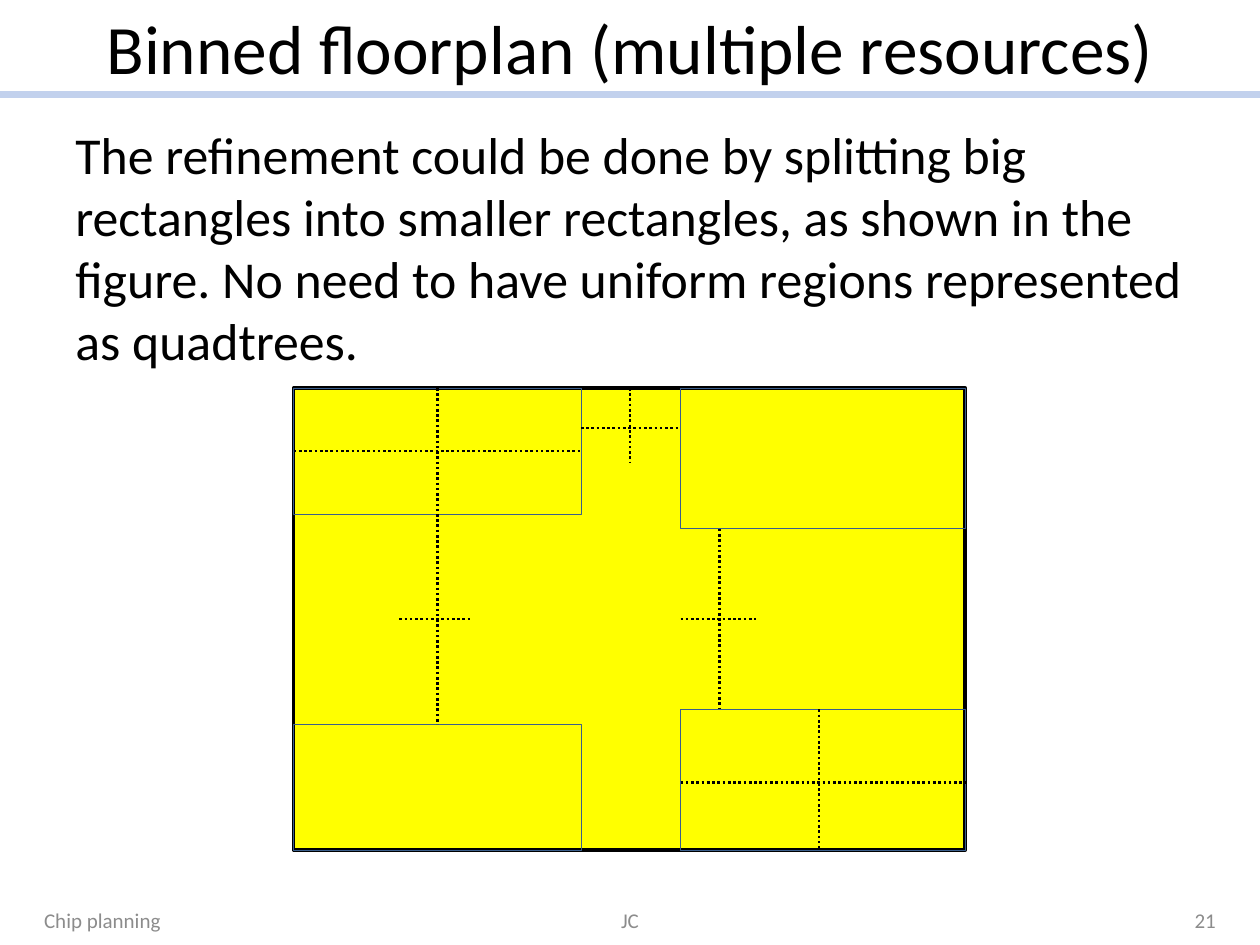
from lxml import etree
from pptx import Presentation
from pptx.dml.color import RGBColor
from pptx.enum.dml import MSO_LINE
from pptx.enum.shapes import MSO_CONNECTOR, MSO_SHAPE
from pptx.enum.text import MSO_ANCHOR, PP_ALIGN
from pptx.oxml.ns import qn
from pptx.util import Cm, Pt

BLACK = RGBColor(0x00, 0x00, 0x00)
GRAY = RGBColor(0x8C, 0x8C, 0x8C)
YELLOW = RGBColor(0xFF, 0xFF, 0x00)
REGION_BLUE = RGBColor(0x3A, 0x5F, 0x8C)
RULE_BLUE = RGBColor(0xC2, 0xD1, 0xED)

FONT = "Calibri"
DOTTED = MSO_LINE.ROUND_DOT  # written as sysDot
STRAIGHT = MSO_CONNECTOR.STRAIGHT
RECTANGLE = MSO_SHAPE.RECTANGLE
LEFT, CENTER, RIGHT = PP_ALIGN.LEFT, PP_ALIGN.CENTER, PP_ALIGN.RIGHT
TOP, MIDDLE = MSO_ANCHOR.TOP, MSO_ANCHOR.MIDDLE
SIDE_TOP, SIDE_LEFT, SIDE_BOTTOM, SIDE_RIGHT = range(4)

SLIDE_W, SLIDE_H = 25.4, 19.05


def add_text(slide, box, text, size, color=BLACK, align=LEFT, anchor=MIDDLE):
    frame = slide.shapes.add_textbox(*map(Cm, box)).text_frame
    frame.word_wrap = True
    frame.vertical_anchor = anchor
    paragraph = frame.paragraphs[0]
    paragraph.text = text
    paragraph.alignment = align
    paragraph.font.name = FONT
    paragraph.font.size = Pt(size)
    paragraph.font.color.rgb = color


def add_line(slide, start, end, color, width, dash=None):
    line = slide.shapes.add_connector(STRAIGHT, *map(Cm, (*start, *end)))
    line.line.color.rgb = color
    line.line.width = Pt(width)
    if dash is not None:
        line.line.dash_style = dash
    etree.SubElement(line._element.spPr, qn("a:effectLst"))
    return line


def add_rectangle(slide, box, color, width, fill=None):
    rectangle = slide.shapes.add_shape(RECTANGLE, *map(Cm, box))
    rectangle.shadow.inherit = False
    if fill is None:
        rectangle.fill.background()
    else:
        rectangle.fill.solid()
        rectangle.fill.fore_color.rgb = fill
    rectangle.line.color.rgb = color
    rectangle.line.width = Pt(width)
    return rectangle


def add_header(slide, box, title):
    left, top, width, height = box
    margin = 1.27
    bottom = top + height
    add_line(slide, (left, bottom), (left + width, bottom), RULE_BLUE, 4)
    add_text(slide, (left + margin, top, width - 2 * margin, height), title, 39.6, align=CENTER)


def add_floorplan(slide, box):
    """Draw the chip with its four corner regions and the dotted lines that split it."""
    left, top, width, height = box
    left_w, left_h = 5.79, 2.54
    right_w, right_h = 5.74, 2.84
    right_x = width - right_w
    low_left_y, low_right_y = height - left_h, height - right_h
    mid_y = height / 2

    def region(x, y, w, h):
        return add_rectangle(slide, (left + x, top + y, w, h), REGION_BLUE, 0.25)

    def split(x1, y1, x2, y2):
        add_line(slide, (left + x1, top + y1), (left + x2, top + y2), BLACK, 1.5, DOTTED)

    def joined_split(first, first_side, second, second_side):
        line = add_line(slide, (left, top), (left, top), BLACK, 1.5, DOTTED)
        line.begin_connect(first, first_side)
        line.end_connect(second, second_side)

    add_rectangle(slide, box, BLACK, 2, YELLOW)
    top_left = region(0, 0, left_w, left_h)
    bottom_left = region(0, low_left_y, left_w, left_h)
    region(right_x, 0, right_w, right_h)
    region(right_x, low_right_y, right_w, right_h)

    joined_split(top_left, SIDE_TOP, top_left, SIDE_BOTTOM)
    joined_split(top_left, SIDE_LEFT, top_left, SIDE_RIGHT)
    joined_split(top_left, SIDE_BOTTOM, bottom_left, SIDE_TOP)

    split(left_w, 0.81, right_x, 0.81)
    split(6.78, 0, 6.78, 1.5)
    split(right_x, 7.95, width, 7.95)
    split(10.59, low_right_y, 10.59, height)
    split(2.13, mid_y, 3.61, mid_y)
    split(8.59, right_h, 8.59, low_right_y)
    split(right_x, mid_y, 9.32, mid_y)


def add_footer(slide, box, topic, author, number):
    left, top, width, height = box
    side_w, center_w = 5.92, 8.05
    places = (
        (topic, left, side_w, LEFT),
        (author, left + (width - center_w) / 2, center_w, CENTER),
        (number, left + width - side_w, side_w, RIGHT),
    )
    for text, x, text_w, align in places:
        add_text(slide, (x, top, text_w, height), text, 12, GRAY, align)


def main():
    presentation = Presentation()
    presentation.slide_width, presentation.slide_height = Cm(SLIDE_W), Cm(SLIDE_H)
    slide = presentation.slides.add_slide(presentation.slide_layouts[6])

    add_header(slide, (0, 0, SLIDE_W, 1.9), "Binned floorplan (multiple resources)")
    add_text(
        slide,
        (1.27, 2.34, 23.06, 4.65),
        "The refinement could be done by splitting big rectangles into smaller "
        "rectangles, as shown in the figure. No need to have uniform regions "
        "represented as quadtrees.",
        29.6,
        anchor=TOP,
    )
    add_floorplan(slide, (5.92, 7.82, 13.54, 9.32))
    add_footer(slide, (0.64, 18.03, 24.12, 1.02), "Chip planning", "JC", "21")
    presentation.save("out.pptx")


if __name__ == "__main__":
    main()
